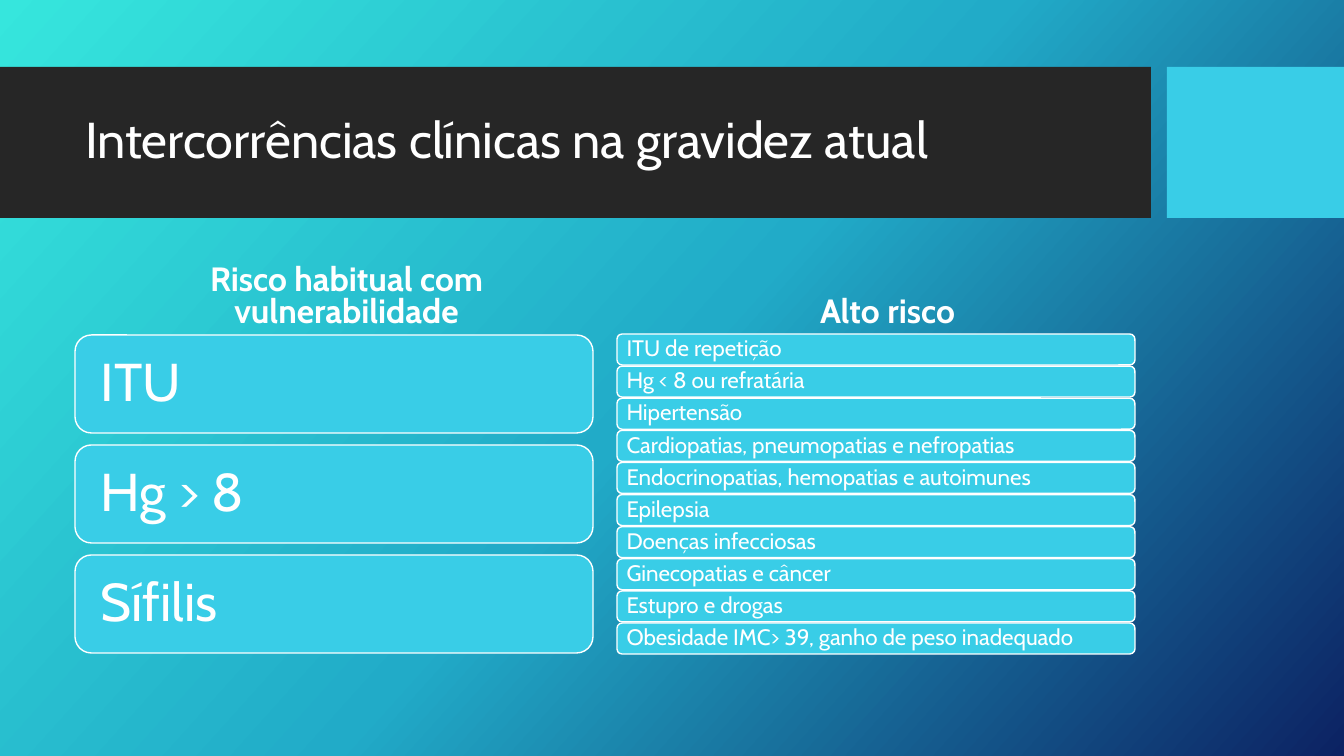
from copy import deepcopy
from dataclasses import dataclass

from pptx import Presentation
from pptx import util as u
from pptx.dml.color import RGBColor
from pptx.enum import shapes, text
from pptx.oxml.ns import qn
from pptx.shapes.autoshape import Shape
from pptx.slide import Slide

EMU_PER_PX = 914400 / 100.8
FONT = "Cabin"
COLORS = {
    "white": "FFFFFF",
    "band": "262626",
    "accent": "39CDE7",
}
BACKGROUND_STOPS = {0: "36E6DD", 0.5: "21ABC8", 1: "0C2263"}
BACKGROUND_ANGLE = 42  # clockwise degrees


@dataclass(frozen=True)
class Box:
    left: int
    top: float
    width: int
    height: int

    def emu(self) -> list[int]:
        return [px(n) for n in (self.left, self.top, self.width, self.height)]


@dataclass(frozen=True)
class TextStyle:
    size: int
    inset_x: int = 10
    inset_y: int = 5
    bold: bool = False
    line_spacing: float = 0.9
    alignment: text.PP_ALIGN = text.PP_ALIGN.LEFT
    anchor: text.MSO_ANCHOR = text.MSO_ANCHOR.MIDDLE


@dataclass(frozen=True)
class RiskColumn:
    heading: str
    heading_box: Box
    first_card: Box
    last_top: int
    card_style: TextStyle
    items: tuple[str, ...]


TITLE = "Intercorrências clínicas na gravidez atual"
TITLE_BOX = Box(75, 83, 1059, 119)
TITLE_STYLE = TextStyle(36)
HEADING_STYLE = TextStyle(24, bold=True, line_spacing=0.8,
                          alignment=text.PP_ALIGN.CENTER,
                          anchor=text.MSO_ANCHOR.BOTTOM)
BANDS = {"band": Box(0, 67, 1151, 151), "accent": Box(1167, 67, 177, 151)}
COLUMNS = (
    RiskColumn(
        "Risco habitual com vulnerabilidade",
        Box(100, 258, 493, 77), Box(75, 335, 518, 98), 555,
        TextStyle(38, inset_x=21, inset_y=0),
        ("ITU", "Hg > 8", "Sífilis"),
    ),
    RiskColumn(
        "Alto risco",
        Box(641, 258, 493, 77), Box(617, 334, 518, 31), 623,
        TextStyle(16, inset_x=8, inset_y=0),
        (
            "ITU de repetição",
            "Hg < 8 ou refratária",
            "Hipertensão",
            "Cardiopatias, pneumopatias e nefropatias",
            "Endocrinopatias, hemopatias e autoimunes",
            "Epilepsia",
            "Doenças infecciosas",
            "Ginecopatias e câncer",
            "Estupro e drogas",
            "Obesidade IMC> 39, ganho de peso inadequado",
        ),
    ),
)


def px(length: float) -> int:
    return u.Emu(round(length * EMU_PER_PX))


def color(name: str) -> RGBColor:
    return RGBColor.from_string(COLORS[name])


def set_attributes(target: object, values: dict[str, object]) -> None:
    for name, value in values.items():
        setattr(target, name, value)


def paint_background(slide: Slide) -> None:
    fill = slide.background.fill
    fill.gradient()
    fill.gradient_angle = 360 - BACKGROUND_ANGLE
    stop_list = slide.element.find(".//" + qn("a:gsLst"))
    stop_list.append(deepcopy(stop_list[0]))
    for stop, (position, rgb) in zip(fill.gradient_stops, BACKGROUND_STOPS.items()):
        stop.position = position
        stop.color.rgb = RGBColor.from_string(rgb)


def write(shape: Shape, words: str, style: TextStyle) -> None:
    frame = shape.text_frame
    set_attributes(frame, {
        "word_wrap": True,
        "vertical_anchor": style.anchor,
        "margin_left": px(style.inset_x),
        "margin_right": px(style.inset_x),
        "margin_top": px(style.inset_y),
        "margin_bottom": px(style.inset_y),
    })
    paragraph = frame.paragraphs[0]
    set_attributes(paragraph, {
        "alignment": style.alignment,
        "line_spacing": style.line_spacing,
    })
    run = paragraph.add_run()
    run.text = words
    set_attributes(run.font, {
        "name": FONT, "size": u.Pt(style.size), "bold": style.bold,
    })
    run.font.color.rgb = color("white")


def add_text(slide: Slide, box: Box, words: str, style: TextStyle) -> None:
    write(slide.shapes.add_textbox(*box.emu()), words, style)


def add_filled(slide: Slide, kind: shapes.MSO_SHAPE, box: Box, fill: str) -> Shape:
    """Add a flat preset shape without outline."""
    shape = slide.shapes.add_shape(kind, *box.emu())
    shape.shadow.inherit = False
    shape.fill.solid()
    shape.fill.fore_color.rgb = color(fill)
    shape.line.fill.background()
    return shape


def add_column(slide: Slide, column: RiskColumn) -> None:
    """Add a heading and its cards, evenly spaced down to last_top."""
    add_text(slide, column.heading_box, column.heading, HEADING_STYLE)
    first = column.first_card
    pitch = (column.last_top - first.top) / (len(column.items) - 1)
    for index, item in enumerate(column.items):
        box = Box(first.left, first.top + index * pitch, first.width, first.height)
        card = add_filled(slide, shapes.MSO_SHAPE.ROUNDED_RECTANGLE, box, "accent")
        card.line.color.rgb = color("white")
        card.line.width = u.Pt(1)
        write(card, item, column.card_style)


def main() -> None:
    presentation = Presentation()
    presentation.slide_width = px(1344)
    presentation.slide_height = px(756)
    slide = presentation.slides.add_slide(presentation.slide_layouts[6])
    paint_background(slide)
    for fill, box in BANDS.items():
        add_filled(slide, shapes.MSO_SHAPE.RECTANGLE, box, fill)
    add_text(slide, TITLE_BOX, TITLE, TITLE_STYLE)
    for column in COLUMNS:
        add_column(slide, column)
    presentation.save("out.pptx")


if __name__ == "__main__":
    main()
